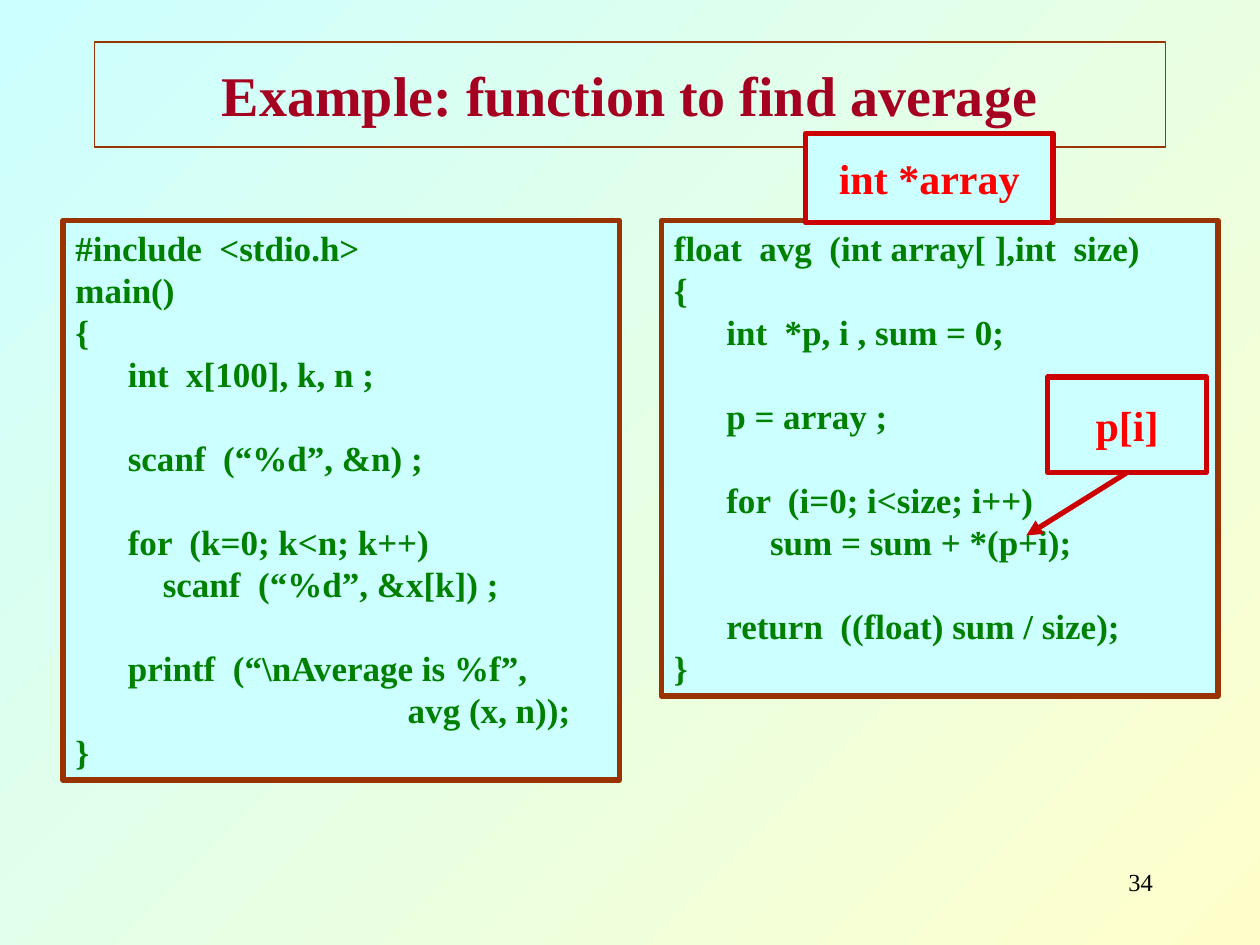
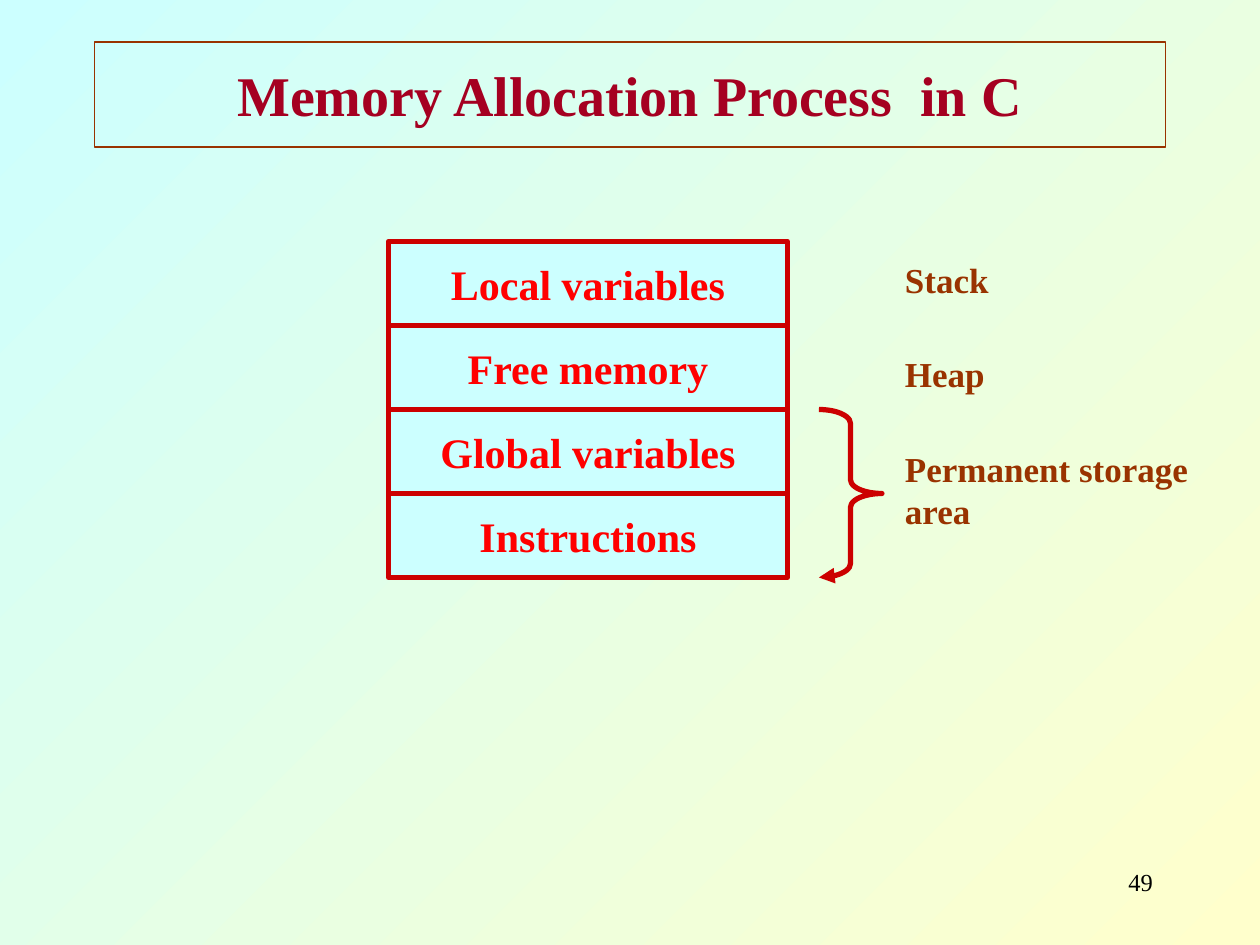
from pptx import Presentation
from pptx.dml.color import RGBColor
from pptx.enum.shapes import MSO_CONNECTOR, MSO_SHAPE
from pptx.enum.text import MSO_ANCHOR, MSO_AUTO_SIZE, PP_ALIGN
from pptx.oxml.ns import qn
from pptx.util import Inches, Pt
from lxml import etree

RECTANGLE, BRACE = MSO_SHAPE.RECTANGLE, MSO_SHAPE.RIGHT_BRACE
STRAIGHT = MSO_CONNECTOR.STRAIGHT
LEFT, CENTER, RIGHT = PP_ALIGN.LEFT, PP_ALIGN.CENTER, PP_ALIGN.RIGHT
TOP, MIDDLE = MSO_ANCHOR.TOP, MSO_ANCHOR.MIDDLE

# Shared look
FONT = "Times New Roman"
CREAM, AQUA = "FFFFCC", "CCFFFF"
BROWN, CRIMSON = "993300", "A50021"
RED, DARK_RED = "FF0000", "CC0000"
GREEN, BLACK = "008000", "000000"

# Grid of 120 columns by 90 rows, one unit is a twelfth of an inch
COLUMNS, ROWS = 120, 90
TITLE_BOX = (9, 4, 102, 10)
NUMBER_BOX = (86, 82, 25, 6)
LINE_ROWS, PADDING_ROWS = 4, 1.3  # one 20 point line, and both insets

AVERAGE_MAIN = """#include  <stdio.h>
main()
{
      int  x[100], k, n ;

      scanf  (“%d”, &n) ;

      for  (k=0; k<n; k++)
          scanf  (“%d”, &x[k]) ;

      printf  (“\\nAverage is %f”,
                                      avg (x, n));
}"""

AVERAGE_FUNCTION = """float  avg  (int array[ ],int  size)
{
      int  *p, i , sum = 0;

      p = array ;

      for  (i=0; i<size; i++)
           sum = sum + *(p+i);

      return  ((float) sum / size);
}"""

MEMORY_REGIONS = ["Local variables", "Free memory",
                  "Global variables", "Instructions"]
# Each storage label with the number of lines it takes
STORAGE_LABELS = [("Stack", 1), ("Heap", 1), ("Permanent storage area", 2)]


def grid(*units):
    return [Inches(unit / 12) for unit in units]


def color(hex_text):
    return RGBColor.from_string(hex_text)


def text_height(lines):
    return lines * LINE_ROWS + PADDING_ROWS


def write(shape, text, size, hex_color, bold=True, align=LEFT, anchor=TOP,
          wrap=True):
    frame = shape.text_frame
    frame.text = text
    frame.word_wrap = wrap
    frame.auto_size = MSO_AUTO_SIZE.NONE
    frame.vertical_anchor = anchor
    for paragraph in frame.paragraphs:
        paragraph.alignment = align
        font = paragraph.font
        font.name, font.size, font.bold = FONT, Pt(size), bold
        font.color.rgb = color(hex_color)
        for run in paragraph.runs:
            run.font.name, run.font.size, run.font.bold = FONT, Pt(size), bold
            run.font.color.rgb = color(hex_color)


def outline(shape, hex_color, width=3):
    shape.line.color.rgb = color(hex_color)
    shape.line.width = Pt(width)


def add_arrowhead(shape):
    line = shape.element.spPr.find(qn("a:ln"))
    etree.SubElement(line, qn("a:tailEnd"), type="triangle")


def add_panel(slide, box, line_color):
    panel = slide.shapes.add_shape(RECTANGLE, *grid(*box))
    panel.shadow.inherit = False
    panel.fill.solid()
    panel.fill.fore_color.rgb = color(AQUA)
    outline(panel, line_color)
    return panel


def add_red_box(slide, box, text):
    panel = add_panel(slide, box, DARK_RED)
    write(panel, text, 24, RED, align=CENTER, anchor=MIDDLE, wrap=False)


def add_arrow(slide, start, end):
    arrow = slide.shapes.add_connector(STRAIGHT, *grid(*start, *end))
    outline(arrow, DARK_RED)
    add_arrowhead(arrow)
    etree.SubElement(arrow.element.spPr, qn("a:effectLst"))


def add_code(slide, left, top, code):
    height = text_height(len(code.splitlines()))
    panel = add_panel(slide, (left, top, 53, height), BROWN)
    write(panel, code, 20, GREEN)


def add_text(slide, box, text, size, hex_color, **style):
    label = slide.shapes.add_textbox(*grid(*box))
    write(label, text, size, hex_color, **style)


def add_titled_slide(presentation, title_text, number):
    slide = presentation.slides.add_slide(presentation.slide_layouts[5])
    title = slide.shapes.title
    title.left, title.top, title.width, title.height = grid(*TITLE_BOX)
    outline(title, BROWN, 0.75)
    write(title, title_text, 32, CRIMSON, align=CENTER, anchor=MIDDLE)
    add_text(slide, NUMBER_BOX, str(number), 14, BLACK, bold=False,
             align=RIGHT)
    return slide


def add_function_panel(slide, left, top):
    """Function code with the two equivalent notations called out."""
    add_code(slide, left, top, AVERAGE_FUNCTION)
    add_red_box(slide, (left + 13.7, top - 8.3, 23.6, 8.5), "int *array")
    note_left, note_top, note_width, note_height = (
        left + 36.8, top + 14.9, 15.1, 9.1)
    add_red_box(slide, (note_left, note_top, note_width, note_height), "p[i]")
    start = (note_left + note_width / 2, note_top + note_height)
    add_arrow(slide, start, (start[0] - 9.6, start[1] + 6))


def add_memory_map(slide, left, top, width, row_height):
    """Stacked memory regions, with a brace over the last two and labels."""
    for index, region in enumerate(MEMORY_REGIONS):
        box = (left, top + index * row_height, width, row_height)
        add_red_box(slide, box, region)

    # Brace around the permanent regions
    brace_box = (left + width + 3, top + 2 * row_height, 6, 2 * row_height)
    brace = slide.shapes.add_shape(BRACE, *grid(*brace_box))
    brace.shadow.inherit = False
    brace.fill.background()
    brace.adjustments[0] = 0.22
    outline(brace, DARK_RED)
    add_arrowhead(brace)

    # Storage labels
    for index, (label, lines) in enumerate(STORAGE_LABELS):
        box = (left + width + 10, top + 1 + 9 * index, 32, text_height(lines))
        add_text(slide, box, label, 20, BROWN)


def set_background(presentation):
    fill = presentation.slide_master.background.fill
    fill.gradient()
    fill.gradient_angle = 135
    for stop, hex_color in zip(fill.gradient_stops, (CREAM, AQUA)):
        stop.color.rgb = color(hex_color)


def main():
    presentation = Presentation()
    presentation.slide_width, presentation.slide_height = grid(COLUMNS, ROWS)
    set_background(presentation)

    slide = add_titled_slide(
        presentation, "Example: function to find average", 34)
    add_code(slide, 6, 21, AVERAGE_MAIN)
    add_function_panel(slide, 63, 21)

    slide = add_titled_slide(
        presentation, "Memory Allocation Process  in C", 49)
    add_memory_map(slide, 37, 23, 38, 8)

    presentation.save("out.pptx")


if __name__ == "__main__":
    main()
